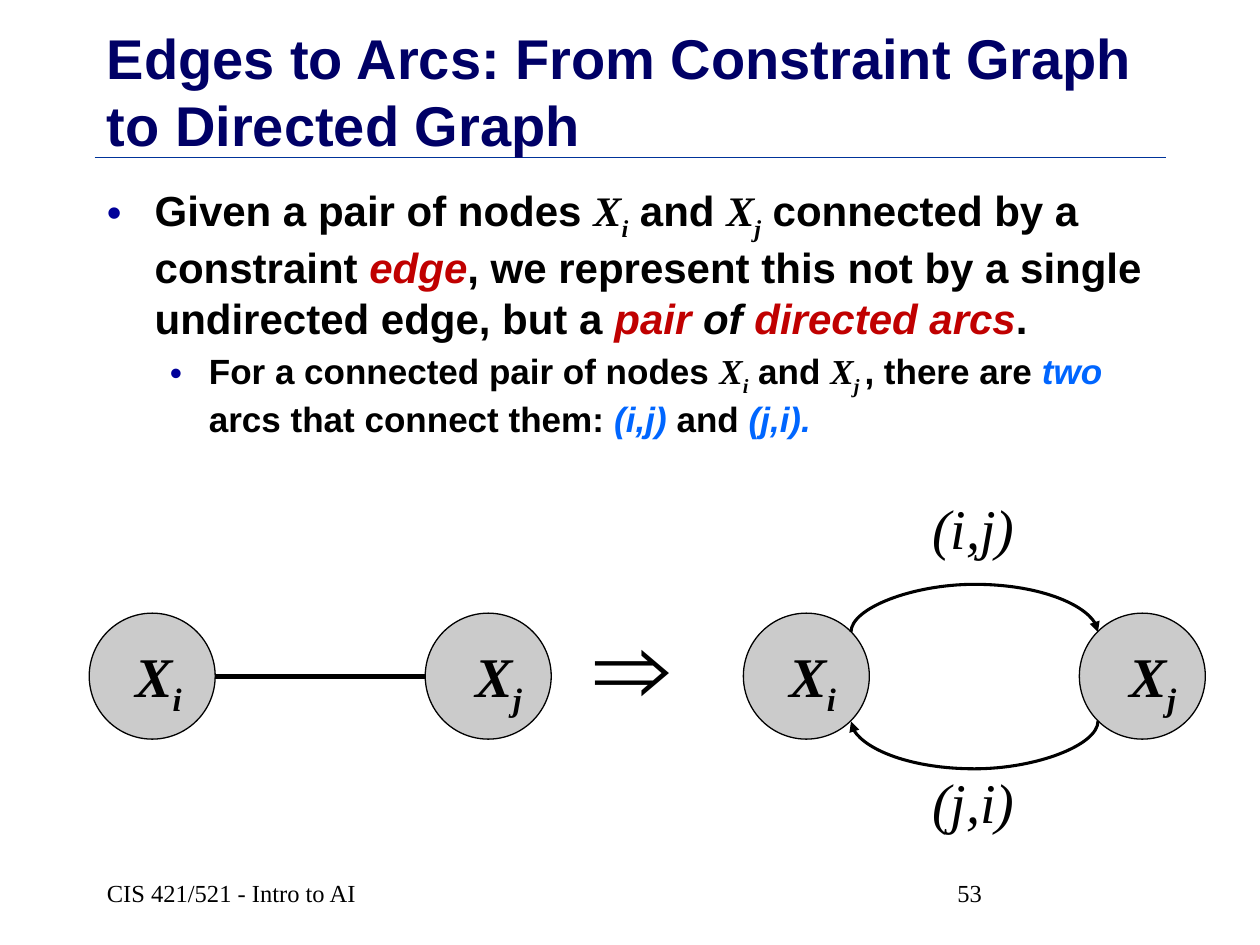
from lxml.etree import SubElement
from pptx import Presentation
from pptx.dml.color import RGBColor
from pptx.enum.shapes import MSO_CONNECTOR as Connector, MSO_SHAPE as Preset
from pptx.enum.text import MSO_ANCHOR as Anchor, PP_ALIGN as Align
from pptx.oxml.ns import qn
from pptx.util import Emu, Inches, Pt

BLACK = RGBColor(0x00, 0x00, 0x00)
NAVY = RGBColor(0x00, 0x00, 0x66)
BULLET_BLUE = RGBColor(0x00, 0x00, 0x99)
RULE_BLUE = RGBColor(0x00, 0x33, 0x99)
RED = RGBColor(0xC0, 0x00, 0x00)
BLUE = RGBColor(0x00, 0x66, 0xFF)
GRAY = RGBColor(0xCB, 0xCB, 0xCB)

# The slide is a grid of 120 columns and 90 rows, each 1/12 inch.
COLUMNS, ROWS = 120, 90
CELL = Inches(10) // COLUMNS
MARGIN, CONTENT_WIDTH = 9, 102
NODE_SIZE, NODE_PITCH, NODE_ROW = 12, 32, 58.4
MIDDLE_ROW = NODE_ROW + NODE_SIZE / 2
LEFT_GRAPH, RIGHT_GRAPH = 8.5, 70.8

SANS = dict(name="Arial", bold=True, italic=False)
SERIF = dict(name="Times New Roman", bold=False, italic=False)
MATH = dict(SERIF, bold=True, italic=True)
EMPHASIS = dict(SANS, italic=True)


def grid(cells):
    return Emu(round(cells * CELL))


def add_run(paragraph, text, size, style, color=BLACK, subscript=False):
    run = paragraph.add_run()
    run.text = text
    for name, value in dict(style, size=Pt(size)).items():
        setattr(run.font, name, value)
    run.font.color.rgb = color
    if subscript:
        run.font._element.set("baseline", "-25000")


def add_variable(paragraph, index, size):
    """Add X with a subscript index."""
    add_run(paragraph, "X", size, MATH)
    add_run(paragraph, index, size, MATH, subscript=True)


def add_box(slide, column, row, width, height, **frame_format):
    """Add a text box and return its first paragraph."""
    box = slide.shapes.add_textbox(*map(grid, (column, row, width, height)))
    for name, value in dict(dict(word_wrap=True), **frame_format).items():
        setattr(box.text_frame, name, value)
    return box.text_frame.paragraphs[0]


def add_bullet(paragraph, margin, indent):
    properties = paragraph._p.get_or_add_pPr()
    properties.set("marL", str(Inches(margin)))
    properties.set("indent", str(-Inches(indent)))
    color = SubElement(properties, qn("a:buClr"))
    SubElement(color, qn("a:srgbClr")).set("val", str(BULLET_BLUE))
    SubElement(properties, qn("a:buFont")).set("typeface", "Arial")
    SubElement(properties, qn("a:buChar")).set("char", "•")


def add_line(slide, kind, start, end, width, color=BLACK):
    line = slide.shapes.add_connector(kind, *map(grid, start + end))
    line.line.width = Pt(width)
    line.line.color.rgb = color
    SubElement(line._element.spPr, qn("a:effectLst"))
    return line


def add_arc(slide, row, upward):
    """Add a curved arrow between the right-hand nodes, bulging up or down."""
    center = RIGHT_GRAPH + (NODE_SIZE + NODE_PITCH) / 2
    half_span, thickness, bulge = 11.76, 0.02, 4.8
    ends = [(center, row - half_span), (center + thickness, row + half_span)]
    if upward:
        ends = [(center, row + half_span), (center + thickness, row - half_span)]
    arc = add_line(slide, Connector.CURVE, *ends, 1.75)
    properties = arc._element.spPr
    properties.find(qn("a:xfrm")).set("rot", str(90 * 60000))
    ratio = round((-bulge if upward else bulge) / thickness * 100000)
    guide = SubElement(properties.find(qn("a:prstGeom")).find(qn("a:avLst")), qn("a:gd"))
    guide.set("name", "adj1")
    guide.set("fmla", f"val {ratio}")
    SubElement(arc.line._get_or_add_ln(), qn("a:tailEnd")).set("type", "triangle")


def add_nodes(slide, column):
    """Add the nodes Xi and Xj, the first one at the given column."""
    for position, (index, label_width) in enumerate([("i", 7.2), ("j", 8)]):
        left = column + position * NODE_PITCH
        node = slide.shapes.add_shape(
            Preset.OVAL, *map(grid, (left, NODE_ROW, NODE_SIZE, NODE_SIZE)))
        node.shadow.inherit = False
        node.fill.solid()
        node.fill.fore_color.rgb = GRAY
        node.line.color.rgb = BLACK
        node.line.width = Pt(0.75)
        label = add_box(slide, left + 3, 60.5, label_width, 7.7, word_wrap=False)
        label.alignment = Align.CENTER
        add_variable(label, index, 32)


def add_heading(slide):
    add_line(slide, Connector.STRAIGHT, (MARGIN, 15), (MARGIN + CONTENT_WIDTH, 15), 1, RULE_BLUE)
    title = add_box(slide, MARGIN, 5.6, CONTENT_WIDTH, 6, vertical_anchor=Anchor.MIDDLE)
    add_run(title, "Edges to Arcs: From Constraint Graph to Directed Graph", 32, SANS, NAVY)


def add_body(slide):
    point = add_box(slide, MARGIN, 17, CONTENT_WIDTH, 30)
    add_bullet(point, 0.38, 0.38)
    add_run(point, "Given a pair of nodes ", 24, SANS)
    add_variable(point, "i", 24)
    add_run(point, " and ", 24, SANS)
    add_variable(point, "j", 24)
    for text, style, color in [
        (" connected by a constraint ", SANS, BLACK),
        ("edge", EMPHASIS, RED),
        (", we represent this not by a single undirected edge, but a ", SANS, BLACK),
        ("pair", EMPHASIS, RED),
        (" of ", EMPHASIS, BLACK),
        ("directed arcs", EMPHASIS, RED),
        (".", SANS, BLACK),
    ]:
        add_run(point, text, 24, style, color)

    detail = point._parent.add_paragraph()
    detail.level = 1
    detail.space_before = Pt(4)
    add_bullet(detail, 0.81, 0.31)
    add_run(detail, "For a connected pair of nodes ", 20, SANS)
    add_variable(detail, "i", 20)
    add_run(detail, " and ", 20, SANS)
    add_variable(detail, "j ", 20)
    for text, style, color in [
        (", there are ", SANS, BLACK),
        ("two ", EMPHASIS, BLUE),
        ("arcs that connect them: ", SANS, BLACK),
        ("(i,j) ", EMPHASIS, BLUE),
        ("and ", SANS, BLACK),
        ("(j,i).", EMPHASIS, BLUE),
    ]:
        add_run(detail, text, 20, style, color)


def add_diagram(slide):
    add_nodes(slide, LEFT_GRAPH)
    add_line(slide, Connector.STRAIGHT, (LEFT_GRAPH + NODE_SIZE, MIDDLE_ROW),
             (LEFT_GRAPH + NODE_PITCH, MIDDLE_ROW), 3)
    implies = add_box(slide, 55.4, 56.5, 12.2, 13.3)
    add_run(implies, "⇒", 60, dict(SERIF, bold=True))
    add_nodes(slide, RIGHT_GRAPH)
    for row, label_row, text, upward in [(60.2, 46.4, "(i,j)", True), (68.7, 72.5, "(j,i)", False)]:
        add_arc(slide, row, upward)
        label = add_box(slide, 87.2, label_row, 11, 7.6, word_wrap=False)
        label.alignment = Align.CENTER
        add_run(label, text, 32, dict(SERIF, italic=True))


def add_footer(slide):
    for column, width, text in [(MARGIN, 31, "CIS 421/521 - Intro to AI"), (90, 21, "53")]:
        footer = add_box(slide, column, 82, width, 6, vertical_anchor=Anchor.MIDDLE)
        add_run(footer, text, 14, SERIF)


def main():
    presentation = Presentation()
    presentation.slide_width = grid(COLUMNS)
    presentation.slide_height = grid(ROWS)
    slide = presentation.slides.add_slide(presentation.slide_layouts[6])
    for add_part in (add_heading, add_body, add_diagram, add_footer):
        add_part(slide)
    presentation.save("out.pptx")


if __name__ == "__main__":
    main()
